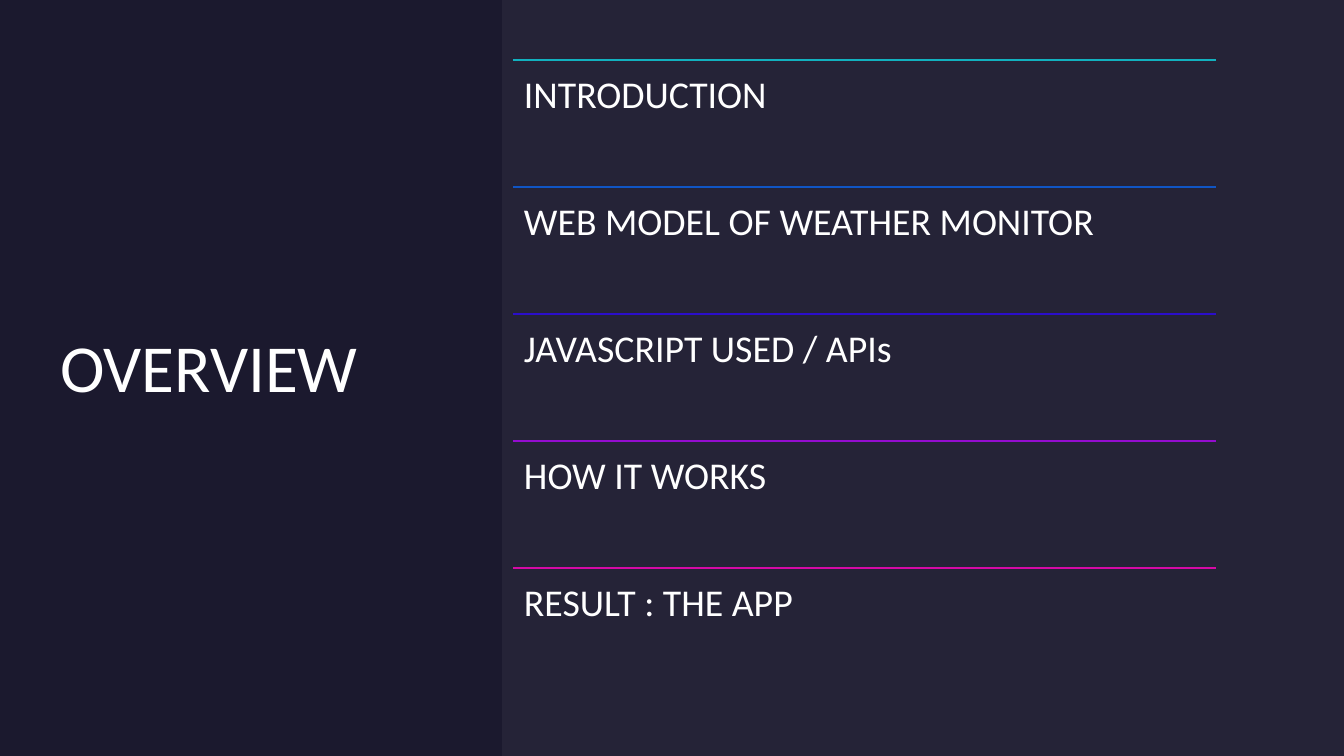
from dataclasses import dataclass

from lxml.etree import SubElement
from pptx import Presentation
from pptx.dml.color import RGBColor
from pptx.enum.shapes import MSO_CONNECTOR as Connector, MSO_SHAPE as Shape
from pptx.enum.text import MSO_ANCHOR as Anchor, MSO_AUTO_SIZE as AutoSize, PP_ALIGN as Align
from pptx.oxml.ns import qn
from pptx.util import Emu, Pt

TITLE = "OVERVIEW"
TOPICS = [
    ("INTRODUCTION", "12B1BF"),
    ("WEB MODEL OF WEATHER MONITOR", "1055C4"),
    ("JAVASCRIPT USED / APIs", "2B0ECA"),
    ("HOW IT WORKS", "940CCF"),
    ("RESULT : THE APP", "D50AA6"),
]


@dataclass(frozen=True)
class Theme:
    font: str = "Calibri"
    background: str = "1B192E"
    panel: str = "E4E3F0"
    panel_opacity: int = 5
    text: str = "FFFFFF"
    title_size: int = 48
    topic_size: int = 27
    rule_width: int = 1


THEME = Theme()
SLIDE_W, SLIDE_H = 1344, 756
TITLE_BOX = (60, 60, 393, 611)
PANEL_X = 502
LIST_X, LIST_Y, LIST_W, ROW_H = 513, 60, 703, 127
ROW_INSET = 11


def px(length):
    return Emu(round(length * 914400 / 100.8))


def paint(fill, color):
    fill.solid()
    fill.fore_color.rgb = RGBColor.from_string(color)


def write(box, text, size, anchor=Anchor.TOP, inset=0):
    frame = box.text_frame
    frame.word_wrap = True
    frame.auto_size = AutoSize.NONE
    frame.vertical_anchor = anchor
    frame.margin_left = frame.margin_right = px(inset)
    frame.margin_top = frame.margin_bottom = px(inset)
    para = frame.paragraphs[0]
    para.alignment = Align.LEFT
    para.line_spacing = 1.0
    para.space_before = Pt(0)
    span = para.add_run()
    span.text = text
    span.font.name = THEME.font
    span.font.size = Pt(size)
    span.font.color.rgb = RGBColor.from_string(THEME.text)


def add_panel(page):
    panel = page.shapes.add_shape(
        Shape.RECTANGLE, px(PANEL_X), 0, px(SLIDE_W - PANEL_X), px(SLIDE_H))
    panel.shadow.inherit = False
    panel.line.fill.background()
    paint(panel.fill, THEME.panel)
    color = panel.fill._xPr.find(qn("a:solidFill"))[0]
    SubElement(color, qn("a:alpha"), val=str(THEME.panel_opacity * 1000))


def add_topic(page, top, text, color):
    rule = page.shapes.add_connector(
        Connector.STRAIGHT, px(LIST_X), px(top), px(LIST_X + LIST_W), px(top))
    rule.line.width = Pt(THEME.rule_width)
    paint(rule.line.fill, color)
    SubElement(rule._element.spPr, qn("a:effectLst"))
    box = page.shapes.add_textbox(px(LIST_X), px(top), px(LIST_W), px(ROW_H))
    write(box, text, THEME.topic_size, inset=ROW_INSET)


def main():
    deck = Presentation()
    deck.slide_width, deck.slide_height = px(SLIDE_W), px(SLIDE_H)
    page = deck.slides.add_slide(deck.slide_layouts[5])
    paint(page.background.fill, THEME.background)

    title = page.shapes.title
    title.left, title.top, title.width, title.height = map(px, TITLE_BOX)
    write(title, TITLE, THEME.title_size, anchor=Anchor.MIDDLE)

    add_panel(page)
    for row, (text, color) in enumerate(TOPICS):
        add_topic(page, LIST_Y + row * ROW_H, text, color)
    deck.save("out.pptx")


if __name__ == "__main__":
    main()
